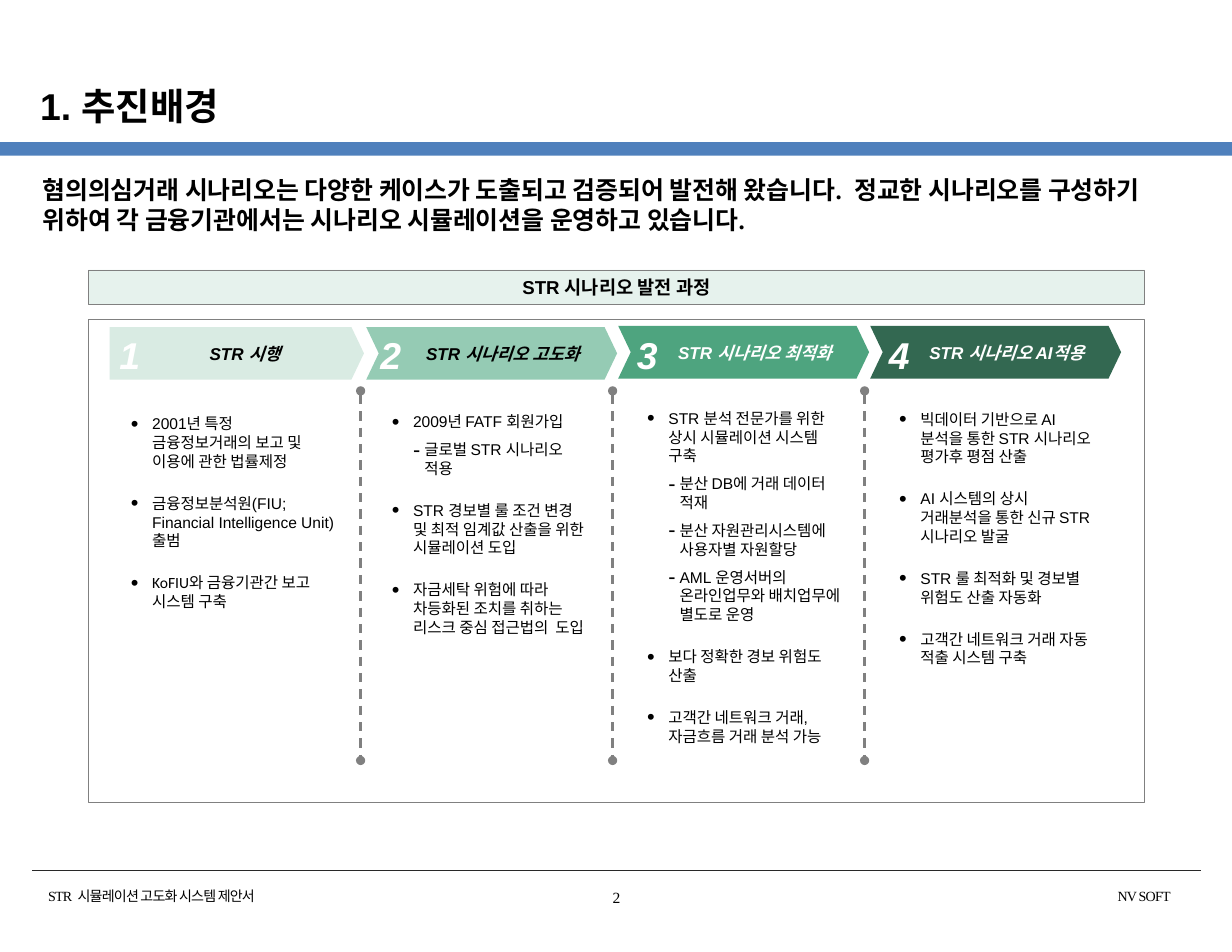
from pptx import Presentation
from pptx.dml.color import RGBColor
from pptx.enum.dml import MSO_LINE
from pptx.enum.shapes import MSO_CONNECTOR, MSO_SHAPE
from pptx.enum.text import MSO_ANCHOR, PP_ALIGN
from pptx.oxml.ns import qn
from pptx.util import Inches, Pt
from lxml.etree import SubElement

W, H = 11, 8.5
BLACK, WHITE, GREY = "000000", "FFFFFF", "808080"
SERIF = "Times New Roman"

TITLE = "1. 추진배경"
LEAD = ("혐의의심거래 시나리오는 다양한 케이스가 도출되고 검증되어 발전해 왔습니다.  정교한 시나리오를 "
        "구성하기 위하여 각 금융기관에서는 시나리오 시뮬레이션을 운영하고 있습니다.")
BANNER = "STR 시나리오 발전 과정"
FOOT = "STR  시뮬레이션 고도화 시스템 제안서"
OWNER = "NV SOFT"

# heading, fill, text colour, number left, body left, top, height, right inset, items
# an item that starts with "-" is a sub-item
STAGES = [
    ("STR 시행", "D9EBE3", BLACK, 1.01, 1.07, 3.58, 3.38, 0.1, [
        "2001년 특정 금융정보거래의 보고 및 이용에 관한 법률제정",
        "금융정보분석원(FIU; Financial Intelligence Unit) 출범",
        "KoFIU와 금융기관간 보고 시스템 구축"]),
    ("STR 시나리오 고도화", "95CBB4", BLACK, 3.34, 3.4, 3.56, 3.36, 0.15, [
        "2009년 FATF 회원가입",
        "-글로벌 STR 시나리오 적용",
        "STR 경보별 룰 조건 변경 및 최적 임계값 산출을 위한 시뮬레이션 도입",
        "자금세탁 위험에 따라 차등화된 조치를 취하는 리스크 중심 접근법의  도입"]),
    ("STR 시나리오 최적화", "4EA47F", WHITE, 5.63, 5.68, 3.53, 3.27, 0.15, [
        "STR 분석 전문가를 위한 상시 시뮬레이션 시스템 구축",
        "-분산 DB에 거래 데이터 적재",
        "-분산 자원관리시스템에 사용자별 자원할당",
        "-AML 운영서버의 온라인업무와 배치업무에 별도로 운영",
        "보다 정확한 경보 위험도 산출",
        "고객간 네트워크 거래, 자금흐름 거래 분석 가능"]),
    ("STR 시나리오 AI적용", "336851", WHITE, 7.88, 7.93, 3.54, 3.05, 0.1, [
        "빅데이터 기반으로 AI 분석을 통한 STR 시나리오 평가후 평점 산출",
        "AI 시스템의 상시 거래분석을 통한 신규 STR 시나리오 발굴",
        "STR 룰 최적화 및 경보별 위험도 산출 자동화",
        "고객간 네트워크 거래 자동 적출 시스템 구축"]),
]

deck = Presentation()
deck.slide_width, deck.slide_height = Inches(W), Inches(H)
slide = deck.slides.add_slide(deck.slide_layouts[6])
parts = slide.shapes


def color(code):
    return RGBColor.from_string(code)


def box(x, y, w, h, fill=None, line=None, kind=MSO_SHAPE.RECTANGLE):
    size = [Inches(n) for n in (x, y, w, h)]
    if fill is None:
        return parts.add_textbox(*size)
    part = parts.add_shape(kind, *size)
    part.shadow.inherit = False
    part.fill.solid()
    part.fill.fore_color.rgb = color(fill)
    if line:
        part.line.color.rgb = color(line)
        part.line.width = Pt(0.25)
    else:
        part.line.fill.background()
    return part


def write(part, text, font="Arial", size=10, ink=BLACK, bold=False, slant=False,
          align=PP_ALIGN.LEFT, anchor=MSO_ANCHOR.TOP, inset=(0, 0, 0, 0),
          left=0, hang=0, before=0, mark=None, track=None, more=False):
    frame = part.text_frame
    frame.word_wrap = True
    frame.vertical_anchor = anchor
    (frame.margin_left, frame.margin_top,
     frame.margin_right, frame.margin_bottom) = [Inches(n) for n in inset]
    para = frame.add_paragraph() if more else frame.paragraphs[0]
    para.alignment = align
    para.space_before = Pt(before)
    props = para._p.get_or_add_pPr()
    props.set("marL", str(Inches(left)))
    props.set("indent", str(Inches(-hang)))
    if mark:
        SubElement(props, qn("a:buSzPct"), val="140000")
        SubElement(props, qn("a:buFont"), typeface="Arial")
        SubElement(props, qn("a:buChar"), char=mark)
    run = para.add_run()
    run.text = text
    face = run.font
    face.name, face.size, face.bold, face.italic = font, Pt(size), bold, slant
    face.color.rgb = color(ink)
    if track:
        run._r.get_or_add_rPr().set("spc", str(int(track * 100)))


def rule(x1, y1, x2, y2, ink, width, dots=False):
    line = parts.add_connector(MSO_CONNECTOR.STRAIGHT,
                               *[Inches(n) for n in (x1, y1, x2, y2)])
    line.line.color.rgb = color(ink)
    line.line.width = Pt(width)
    if dots:
        line.line.dash_style = MSO_LINE.DASH
        for end in ("a:headEnd", "a:tailEnd"):
            SubElement(line.line._ln, qn(end), type="oval")
    SubElement(line._element.spPr, qn("a:effectLst"))


MID, CENTER = MSO_ANCHOR.MIDDLE, PP_ALIGN.CENTER
PAD = (0.1, 0.05, 0.1, 0.05)

# Title band and footer
box(0, 1.27, W, 0.12, "4F80BC")
rule(0.29, 7.77, 10.72, 7.77, "282828", 0.25)
write(box(0.42, 7.92, 3.17, 0.15), FOOT, font=SERIF, size=9, left=0.01, before=1.5,
      track=-0.5)
write(box(9.75, 7.92, 0.92, 0.15), OWNER, font=SERIF, size=9, left=0.01, before=1.5,
      track=-0.5, align=CENTER)
write(box(5.3, 7.87, 0.41, 0.28, WHITE), "2", font=SERIF, align=CENTER, anchor=MID)
write(box(0.26, 0.67, 8.94, 0.54), TITLE, size=24, bold=True, anchor=MID, inset=PAD)
write(box(0.38, 1.56, 10.23, 0.83), LEAD, font=SERIF, size=16, bold=True)

# Banner and frame
write(box(0.79, 2.41, 9.43, 0.31, "E6F2ED", GREY), BANNER, size=12, bold=True,
      align=CENTER, anchor=MID, inset=PAD, left=0.1, hang=0.1, before=4)
box(0.79, 2.85, 9.43, 4.31, WHITE, GREY)

# Stages: arrow, number, items, divider
STEP, FIRST = 2.25, 1.02
for i, (head, fill, ink, num, x, y, h, edge, items) in enumerate(STAGES):
    if i == 0:
        arrow = box(0.98, 2.92, 2.27, 0.47, fill, kind=MSO_SHAPE.PENTAGON)
    else:
        arrow = box(FIRST + i * STEP, 2.92 if i == 1 else 2.91, 2.24, 0.47, fill,
                    kind=MSO_SHAPE.CHEVRON)
    arrow.adjustments[0] = 0.238
    write(arrow, head, size=11, ink=ink, bold=True, slant=True, align=CENTER,
          anchor=MID, inset=PAD, left=0.2)
    write(box(num, 2.97, 0.3, 0.32), str(i + 1), size=24, ink=WHITE, bold=True,
          slant=True, align=CENTER)

    body = box(x, y, 2.01, h, WHITE)
    for n, item in enumerate(items):
        sub = item.startswith("-")
        write(body, item.lstrip("-"), font="Calibri" if item.startswith("KoFIU") else "Arial",
              inset=(0.1, 0.12, edge, 0.05), more=n > 0, mark="-" if sub else "•",
              left=0.29 if sub else 0.19, hang=0.1 if sub else 0.19,
              before=6 if sub else 15 if n else 12)
    if i < len(STAGES) - 1:
        mid = 3.22 + i * STEP
        rule(mid, 3.49, mid, 6.79, GREY, 1.5, dots=True)

deck.save("out.pptx")
